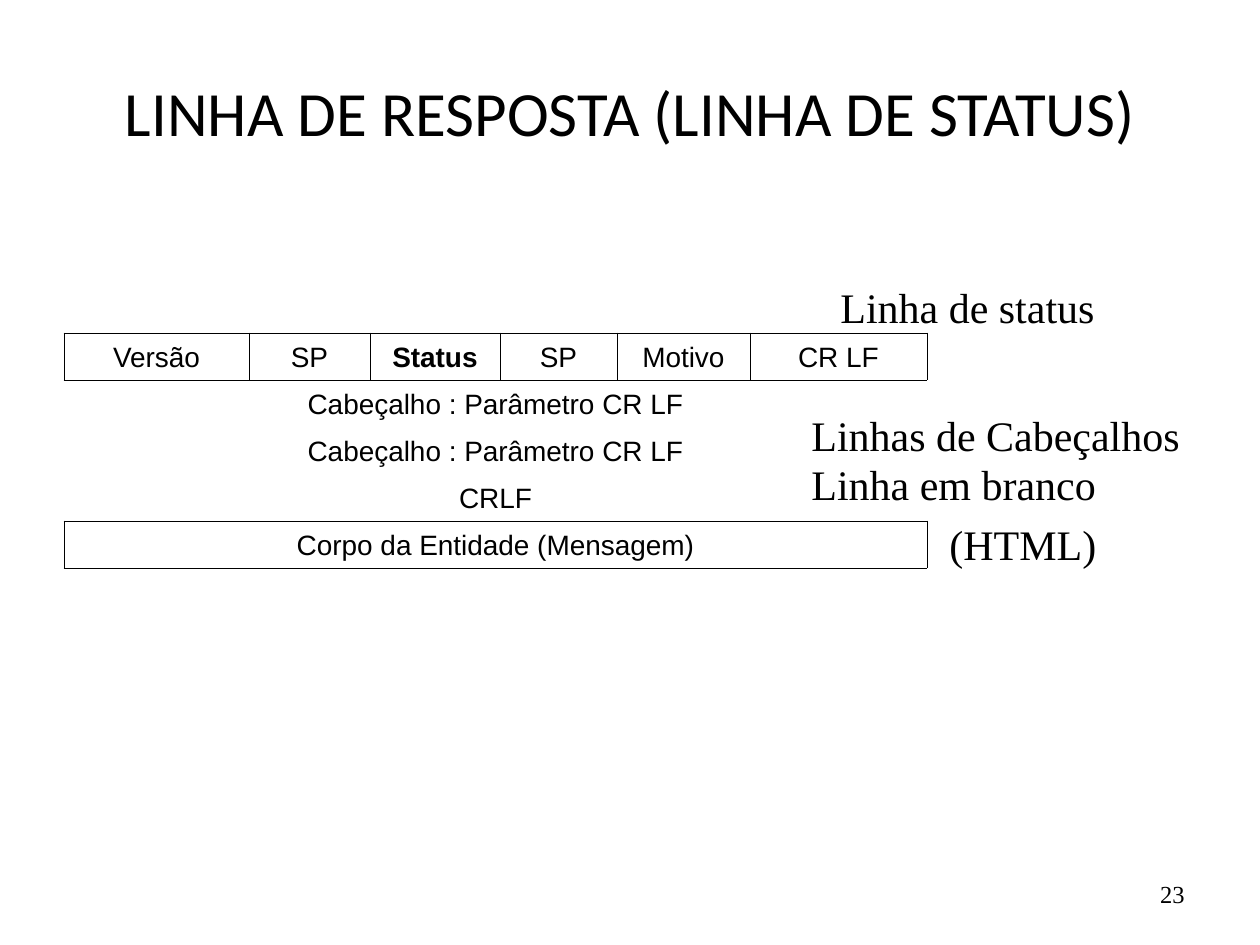
from pptx import Presentation
from pptx.dml.color import RGBColor
from pptx.enum.text import MSO_ANCHOR as Anchor, PP_ALIGN as Align
from pptx.oxml.ns import qn
from pptx.util import Pt
from lxml.etree import SubElement

PX = 914400 // 126
BLACK = RGBColor(0, 0, 0)
BORDER_WIDTH = Pt(0.45)

COLUMN_WIDTHS = [185, 121, 130, 117, 133, 177]
ROW_HEIGHT = 47
STATUS_FIELDS = ["Versão", "SP", "Status", "SP", "Motivo", "CR LF"]
HEADER_LINE = "Cabeçalho : Parâmetro CR LF"
MESSAGE_LINES = [HEADER_LINE, HEADER_LINE, "CRLF", "Corpo da Entidade (Mensagem)"]
LABELS = [
    ("Linha de status", 828, 275, 287),
    ("Linhas de Cabeçalhos", 799, 403, 525),
    ("Linha em branco", 799, 452, 358),
    ("(HTML)", 937, 512, 282),
]


class SlideBuilder:
    def __init__(self, deck):
        self.page = deck.slides.add_slide(deck.slide_layouts[5])

    def add_text(self, frame, text, size, font, align=Align.LEFT, bold=False):
        para = frame.paragraphs[0]
        para.alignment = align
        span = para.add_run()
        span.text = text
        span.font.size = Pt(size)
        span.font.name = font
        span.font.bold = bold
        span.font.color.rgb = BLACK
        return para

    def title(self, text, left, top, width, height):
        box = self.page.shapes.title
        box.left, box.top, box.width, box.height = (
            length * PX for length in (left, top, width, height))
        box.text_frame.vertical_anchor = Anchor.MIDDLE
        para = self.add_text(box.text_frame, text, 36, "Calibri", Align.CENTER)
        para.line_spacing = 0.9

    def label(self, text, left, top, width, height=63, size=24,
              align=Align.LEFT, anchor=Anchor.TOP):
        box = self.page.shapes.add_textbox(
            left * PX, top * PX, width * PX, height * PX)
        box.text_frame.word_wrap = True
        box.text_frame.vertical_anchor = anchor
        self.add_text(box.text_frame, text, size, "Times New Roman", align)

    def borders(self, cell, sides):
        """Draw the sides named by letter (L, R, T, B) and hide the others."""
        properties = cell._tc.get_or_add_tcPr()
        for side in "LRTB":
            line = SubElement(properties, qn(f"a:ln{side}"), w=str(BORDER_WIDTH))
            if side in sides:
                fill = SubElement(line, qn("a:solidFill"))
                SubElement(fill, qn("a:srgbClr"), val=str(BLACK))
            else:
                SubElement(line, qn("a:noFill"))

    def message_table(self, left, top):
        """Status fields in the first row, one merged line in each row below."""
        row_count = 1 + len(MESSAGE_LINES)
        table = self.page.shapes.add_table(
            row_count, len(COLUMN_WIDTHS), left * PX, top * PX,
            sum(COLUMN_WIDTHS) * PX, row_count * ROW_HEIGHT * PX).table
        table.first_row = table.horz_banding = False
        for column, width in zip(table.columns, COLUMN_WIDTHS):
            column.width = width * PX
        last_row, last_column = row_count - 1, len(COLUMN_WIDTHS) - 1
        row_sides = {0: "LRTB", 1: "T", last_row - 1: "B"}
        for row in range(row_count):
            for column in range(last_column + 1):
                cell = table.cell(row, column)
                sides = row_sides.get(row, "")
                if row == last_row:
                    sides = "TB" + "L" * (column == 0) + "R" * (column == last_column)
                self.borders(cell, sides)
                cell.fill.background()
                cell.vertical_anchor = Anchor.BOTTOM
        for column, field in enumerate(STATUS_FIELDS):
            self.add_text(table.cell(0, column).text_frame, field, 16, "Arial",
                          Align.CENTER, bold=field == "Status")
        for row, text in enumerate(MESSAGE_LINES, start=1):
            first = table.cell(row, 0)
            first.merge(table.cell(row, last_column))
            # The merged cell takes its right side from the first cell.
            if row == last_row:
                right = first._tc.tcPr.find(qn("a:lnR"))
                right.remove(right[0])
                fill = SubElement(right, qn("a:solidFill"))
                SubElement(fill, qn("a:srgbClr"), val=str(BLACK))
            self.add_text(first.text_frame, text, 16, "Arial", Align.CENTER)


def main():
    deck = Presentation()
    deck.slide_width, deck.slide_height = 1260 * PX, 945 * PX
    builder = SlideBuilder(deck)
    builder.title("LINHA DE RESPOSTA (LINHA DE STATUS)", 63, 38, 1134, 157)
    builder.message_table(64, 333)
    builder.label("23", 903, 861, 294, 65, 14, Align.RIGHT, Anchor.MIDDLE)
    for text, left, top, width in LABELS:
        builder.label(text, left, top, width)
    deck.save("out.pptx")


if __name__ == "__main__":
    main()
